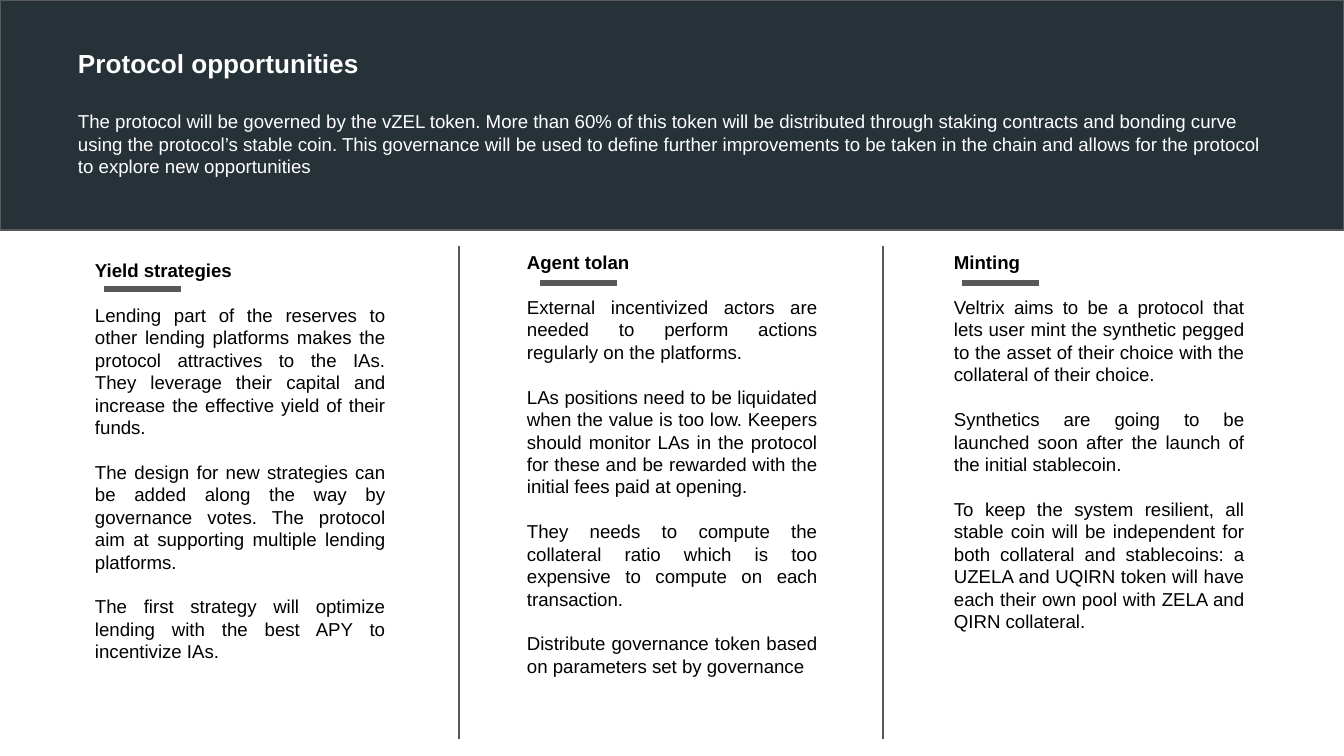
from pptx import Presentation
from pptx.dml.color import RGBColor
from pptx.enum.shapes import MSO_CONNECTOR as Connector, MSO_SHAPE as Shape
from pptx.enum.text import MSO_AUTO_SIZE as AutoSize, PP_ALIGN as Align
from pptx.oxml.ns import qn
from pptx.util import Emu, Pt
from lxml.etree import SubElement

TITLE = "Protocol opportunities"
INTRO = (
    "The protocol will be governed by the vZEL token. More than 60% of this token will be "
    "distributed through staking contracts and bonding curve using the protocol’s stable coin. "
    "This governance will be used to define further improvements to be taken in the chain and "
    "allows for the protocol to explore new opportunities"
)
COLUMNS = [
    {
        "heading": "Yield strategies", "left": 82, "top": 246, "height": 434,
        "rule_left": 104, "rule_top": 289,
        "body": [
            "Lending part of the reserves to other lending platforms makes the protocol attractives "
            "to the IAs. They leverage their capital and increase the effective yield of their funds.",
            "The design for new strategies can be added along the way by governance votes. "
            "The protocol aim at supporting multiple lending platforms.",
            "The first strategy will optimize lending with the best APY to incentivize IAs.",
        ],
    },
    {
        "heading": "Agent tolan", "left": 514, "top": 238, "height": 480,
        "rule_left": 540, "rule_top": 283,
        "body": [
            "External incentivized actors are needed to perform actions regularly on the platforms.",
            "LAs positions need to be liquidated when the value is too low. Keepers should monitor "
            "LAs in the protocol for these and be rewarded with the initial fees paid at opening.",
            "They needs to compute the collateral ratio which is too expensive to compute on each "
            "transaction.",
            "Distribute governance token based on parameters set by governance",
        ],
    },
    {
        "heading": "Minting", "left": 941, "top": 238, "height": 411,
        "rule_left": 962, "rule_top": 283,
        "body": [
            "Veltrix aims to be a protocol that lets user mint the synthetic pegged to the asset of "
            "their choice with the collateral of their choice.",
            "Synthetics are going to be launched soon after the launch of the initial stablecoin.",
            "To keep the system resilient, all stable coin will be independent for both collateral "
            "and stablecoins: a UZELA and UQIRN token will have each their own pool with ZELA and "
            "QIRN collateral.",
        ],
    },
]
DIVIDERS = [459, 883]

WIDTH, HEIGHT = 1344, 756
BANNER_HEIGHT = 230
COLUMN_WIDTH = 316
RULE_WIDTH = 77
DIVIDER_TOP, DIVIDER_BOTTOM = 246, 739
INSET = 13

FONT = "Arial"
SLATE = RGBColor(0x26, 0x32, 0x38)
GRAY = RGBColor(0x59, 0x59, 0x59)
WHITE = RGBColor(0xFF, 0xFF, 0xFF)
BLACK = RGBColor(0, 0, 0)


def px(value):
    return Emu(round(value * 914400 / 134.4))


def add_banner(slide):
    banner = slide.shapes.add_shape(Shape.RECTANGLE, 0, 0, px(WIDTH), px(BANNER_HEIGHT))
    banner.shadow.inherit = False
    banner.fill.solid()
    banner.fill.fore_color.rgb = SLATE
    banner.line.color.rgb = GRAY
    banner.line.width = Pt(0.75)


def add_text(slide, box, heading, body, heading_size, gap, color, align):
    frame = slide.shapes.add_textbox(*map(px, box)).text_frame
    frame.word_wrap = True
    frame.auto_size = AutoSize.SHAPE_TO_FIT_TEXT
    frame.margin_left = frame.margin_right = px(INSET)
    frame.margin_top = frame.margin_bottom = px(INSET)
    for index, text in enumerate([heading, *body]):
        paragraph = frame.add_paragraph() if index else frame.paragraphs[0]
        paragraph.text = text
        paragraph.alignment = align
        paragraph.space_before = Pt(gap if index else 0)
        font = paragraph.font
        font.name = FONT
        font.size = Pt(10 if index else heading_size)
        font.bold = index == 0
        font.color.rgb = color


def add_line(slide, start, end, weight):
    line = slide.shapes.add_connector(Connector.STRAIGHT, *map(px, start + end))
    line.line.color.rgb = GRAY
    line.line.width = Pt(weight)
    SubElement(line._element.spPr, qn("a:effectLst"))


def main():
    presentation = Presentation()
    presentation.slide_width, presentation.slide_height = px(WIDTH), px(HEIGHT)
    slide = presentation.slides.add_slide(presentation.slide_layouts[6])

    add_banner(slide)
    add_text(slide, (65, 34, 1227, 159), TITLE, [INTRO], 14, 17, WHITE, Align.LEFT)
    for column in COLUMNS:
        box = (column["left"], column["top"], COLUMN_WIDTH, column["height"])
        add_text(slide, box, column["heading"], column["body"], 10, 12, BLACK, Align.JUSTIFY)
        rule_left, rule_top = column["rule_left"], column["rule_top"]
        add_line(slide, (rule_left, rule_top), (rule_left + RULE_WIDTH, rule_top), 3)
    for x in DIVIDERS:
        add_line(slide, (x, DIVIDER_TOP), (x, DIVIDER_BOTTOM), 0.75)

    presentation.save("out.pptx")


if __name__ == "__main__":
    main()
